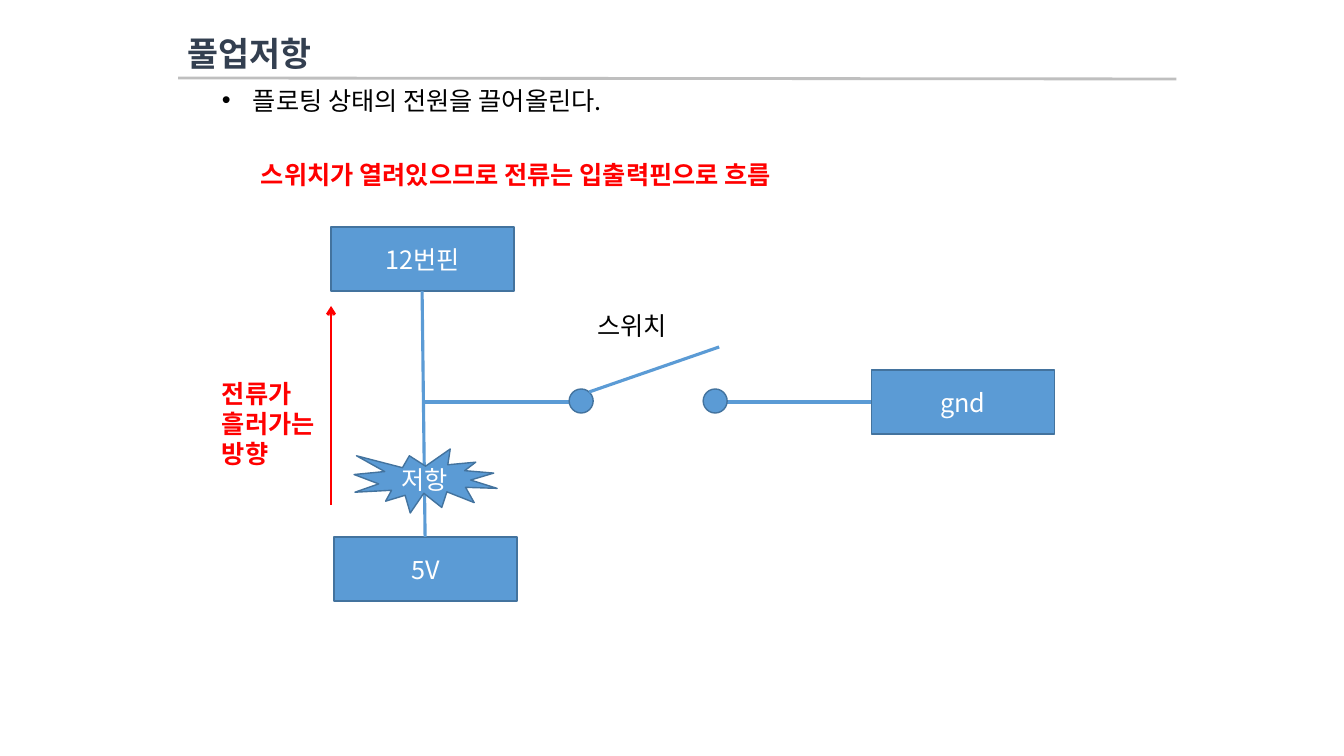
from pptx import Presentation, util as u
from pptx.dml.color import RGBColor
from pptx.enum import shapes, text
from pptx.oxml.ns import qn
from lxml import etree

SCALE = 914400 / 100.8
FONT = "Noto Sans CJK KR"
COLORS = {"title": "333F50", "rule": "BFBFBF", "text": "000000", "accent": "FF0000",
          "fill": "5B9BD5", "outline": "43739E", "label": "FFFFFF"}
Kind = shapes.MSO_SHAPE


def px(*values):
    return [u.Emu(round(value * SCALE)) for value in values]


def color(name):
    return RGBColor.from_string(COLORS[name])


def write(frame, lines, tone, size=18, bold=False, align=text.PP_ALIGN.LEFT):
    for index, line in enumerate(lines):
        para = frame.paragraphs[0] if index == 0 else frame.add_paragraph()
        para.alignment = align
        span = para.add_run()
        span.text = line
        span.font.size = u.Pt(size)
        span.font.bold = bold
        span.font.name = FONT
        span.font.color.rgb = color(tone)
        etree.SubElement(span.font._element, qn("a:ea"), typeface=FONT)


def add_text(page, place, lines, tone, wrap=True, bullet=False, **style):
    box = page.shapes.add_textbox(*px(*place))
    frame = box.text_frame
    frame.word_wrap = wrap
    write(frame, lines, tone, **style)
    if bullet:
        indent = px(31)[0]
        for para in frame.paragraphs:
            props = para._p.get_or_add_pPr()
            props.set("marL", str(indent))
            props.set("indent", str(-indent))
            etree.SubElement(props, qn("a:buFont"), typeface="Arial")
            etree.SubElement(props, qn("a:buChar"), char="•")


def add_part(page, kind, place, label=None):
    part = page.shapes.add_shape(kind, *px(*place))
    part.shadow.inherit = False
    part.fill.solid()
    part.fill.fore_color.rgb = color("fill")
    part.line.color.rgb = color("outline")
    part.line.width = u.Pt(1)
    if label:
        part.text_frame.word_wrap = True
        part.text_frame.vertical_anchor = text.MSO_ANCHOR.MIDDLE
        write(part.text_frame, [label], "label", align=text.PP_ALIGN.CENTER)


def add_line(page, ends, tone="fill", width=2.25, arrow=False):
    line = page.shapes.add_connector(shapes.MSO_CONNECTOR.STRAIGHT, *px(*ends))
    line.line.color.rgb = color(tone)
    line.line.width = u.Pt(width)
    if arrow:
        etree.SubElement(line.line._get_or_add_ln(), qn("a:tailEnd"), type="arrow")
    etree.SubElement(line._element.spPr, qn("a:effectLst"))


def main():
    deck = Presentation()
    deck.slide_width, deck.slide_height = u.Inches(13.33), u.Inches(7.5)
    page = deck.slides.add_slide(deck.slide_layouts[6])

    # Heading and explanation
    add_text(page, (178, 28, 907, 50), ["풀업저항"], "title", size=24, bold=True)
    add_line(page, (178, 78, 1176, 79), "rule", 2)
    add_text(page, (212, 80, 920, 40), ["플로팅 상태의 전원을 끌어올린다."], "text", bullet=True)
    add_text(page, (251, 154, 682, 40),
             ["스위치가 열려있으므로 전류는 입출력핀으로 흐름"], "accent", bold=True)

    # Terminals
    for left, top, label in ((331, 227, "12번핀"), (334, 537, "5V"), (871, 370, "gnd")):
        add_part(page, Kind.RECTANGLE, (left, top, 183, 64), label)

    # Wires
    for ends in ((422, 291, 425, 537), (425, 402, 569, 402), (727, 402, 871, 402)):
        add_line(page, ends)

    # Open switch
    for left in (569, 703):
        add_part(page, Kind.OVAL, (left, 389, 24, 24))
    add_line(page, (589, 392, 719, 347))
    add_text(page, (587, 305, 158, 40), ["스위치"], "text")

    # Resistor
    add_part(page, Kind.EXPLOSION1, (354, 449, 143, 64), "저항")

    # Current direction
    add_line(page, (331, 505, 331, 306), "accent", 2, arrow=True)
    add_text(page, (212, 373, 122, 102), ["전류가", "흘러가는", "방향"], "accent",
             wrap=False, bold=True)

    deck.save("out.pptx")


main()
